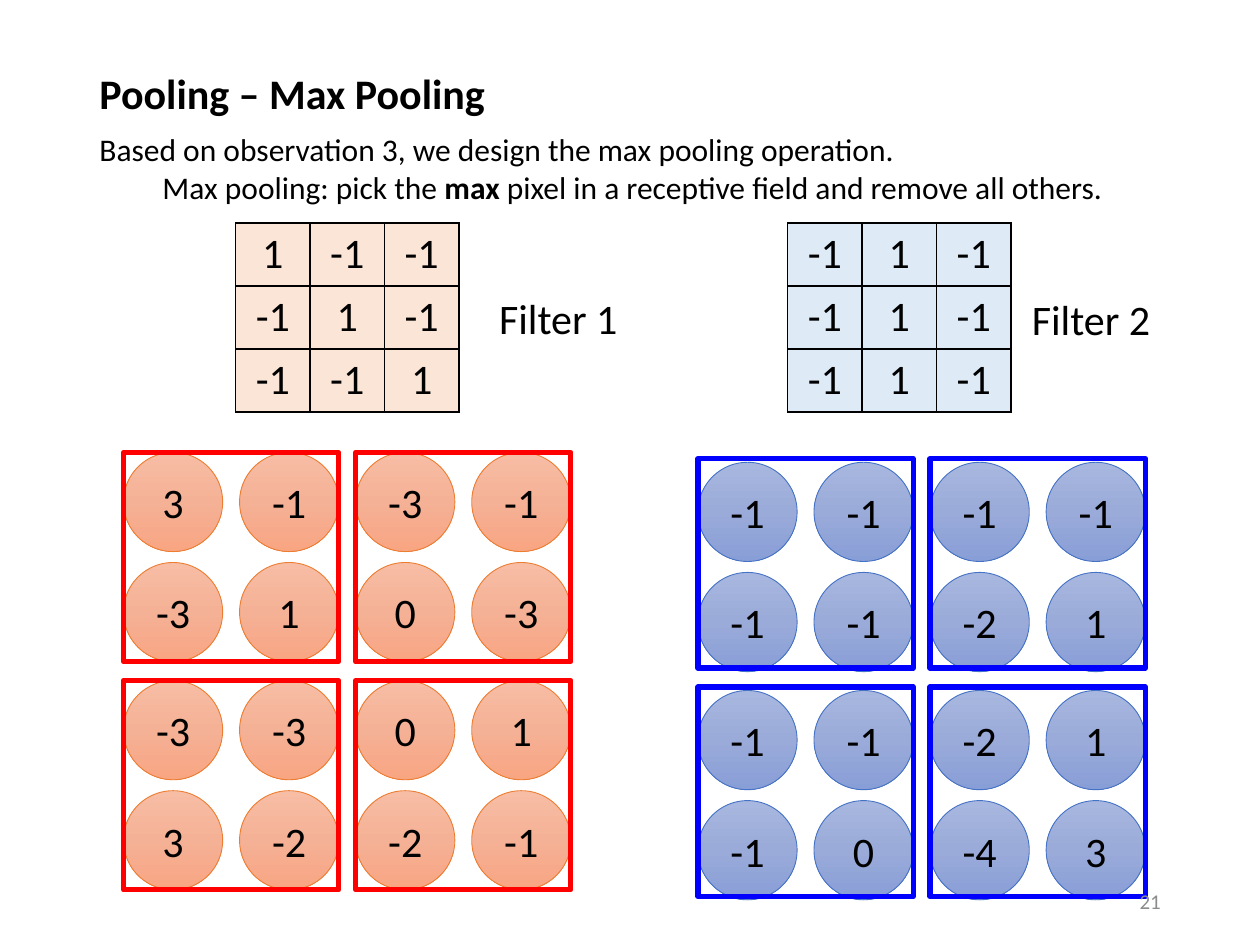
from copy import deepcopy

from lxml.etree import SubElement
from pptx import Presentation
from pptx.dml.color import RGBColor
from pptx.enum.shapes import MSO_SHAPE
from pptx.enum.text import MSO_ANCHOR, MSO_AUTO_SIZE, PP_ALIGN
from pptx.oxml.ns import qn
from pptx.util import Cm, Pt

TITLE = "Pooling – Max Pooling"
INTRO = "Based on observation 3, we design the max pooling operation."
DEFINITION = [("Max pooling: pick the ", False), ("max", True),
              (" pixel in a receptive field and remove all others.", False)]
PAGE = "21"

# Positions are (left, top) in centimetres.
FILTERS = [
    dict(label="Filter 1", label_at=(9.25, 5.77), table_at=(4.75, 4.5), cell_fill="FBE5D6",
         weights=[[1, -1, -1], [-1, 1, -1], [-1, -1, 1]],
         map_at=(2.49, 9.12), frames_at=(2.49, 9.12),
         gradient=["F7BDA5", "F5B196", "F8A582"], outline="ED7D31", frame="FF0000",
         values=[[3, -1, -3, -1], [-3, 1, 0, -3], [-3, -3, 0, 1], [3, -2, -2, -1]]),
    dict(label="Filter 2", label_at=(19.99, 5.8), table_at=(15.88, 4.5), cell_fill="DEEBF7",
         weights=[[-1, 1, -1], [-1, 1, -1], [-1, 1, -1]],
         map_at=(14.07, 9.32), frames_at=(14.07, 9.25),
         gradient=["A8B7DF", "9AABD9", "889ED7"], outline="4472C4", frame="0000FF",
         values=[[-1, -1, -1, -1], [-1, -1, -2, 1], [-1, -1, -2, 1], [-1, 0, -4, 3]]),
]
CELL_W, CELL_H = 1.5, 1.27
CIRCLE, STEP_X, STEP_Y = 2.0, 2.34, 2.22
BLOCK_X, BLOCK_Y = 2 * STEP_X, 4.6
FRAME_W, FRAME_H = STEP_X + CIRCLE, STEP_Y + CIRCLE


def rgb(value):
    return RGBColor.from_string(value)


def style(p, size=24, color="000000", align=PP_ALIGN.CENTER):
    p.alignment = align
    for r in p.runs:
        r.font.name = "Calibri"
        r.font.size = Pt(size)
        r.font.color.rgb = rgb(color)


def place(sp, left, top, width, height):
    sp.left, sp.top, sp.width, sp.height = Cm(left), Cm(top), Cm(width), Cm(height)


def add_label(s, text, box, **look):
    tb = s.shapes.add_textbox(*map(Cm, box))
    tf = tb.text_frame
    tf.word_wrap = True
    tf.text = text
    style(tf.paragraphs[0], **look)
    return tf


def add_outlined(s, kind, box, color, width):
    sp = s.shapes.add_shape(kind, *map(Cm, box))
    sp.shadow.inherit = False
    sp.line.color.rgb = rgb(color)
    sp.line.width = Pt(width)
    return sp


def set_gradient(sp, colors):
    """Fill top to bottom with three evenly spaced colours."""
    sp.fill.gradient()
    sp.fill.gradient_angle = 270
    stop_list = sp._element.spPr.find(".//" + qn("a:gsLst"))
    stop_list.insert(1, deepcopy(stop_list[0]))
    for stop, color, position in zip(sp.fill.gradient_stops, colors, (0, 0.5, 1)):
        stop.color.rgb = rgb(color)
        stop.position = position


def set_borders(cell):
    tcPr = cell._tc.get_or_add_tcPr()
    for i, side in enumerate(("lnL", "lnR", "lnT", "lnB")):
        ln = tcPr.makeelement(qn("a:" + side), {"w": str(Pt(1))})
        tcPr.insert(i, ln)
        SubElement(SubElement(ln, qn("a:solidFill")), qn("a:srgbClr"), val="000000")


def add_weights(s, f):
    rows, cols = len(f["weights"]), len(f["weights"][0])
    left, top = f["table_at"]
    table = s.shapes.add_table(rows, cols, Cm(left), Cm(top),
                               Cm(cols * CELL_W), Cm(rows * CELL_H)).table
    table.first_row = table.horz_banding = False
    for row, weights in zip(table.rows, f["weights"]):
        for cell, weight in zip(row.cells, weights):
            cell.text = str(weight)
            cell.margin_top = cell.margin_bottom = Cm(0.11)
            cell.fill.solid()
            cell.fill.fore_color.rgb = rgb(f["cell_fill"])
            set_borders(cell)
            style(cell.text_frame.paragraphs[0])


def add_feature_map(s, f):
    left, top = f["map_at"]
    for i, row in enumerate(f["values"]):
        for j, value in enumerate(row):
            y = top + i // 2 * BLOCK_Y + i % 2 * STEP_Y
            sp = add_outlined(s, MSO_SHAPE.OVAL, (left + j * STEP_X, y, CIRCLE, CIRCLE),
                              f["outline"], 0.5)
            set_gradient(sp, f["gradient"])
            tf = sp.text_frame
            tf.text = str(value)
            tf.vertical_anchor = MSO_ANCHOR.MIDDLE
            style(tf.paragraphs[0])
    left, top = f["frames_at"]
    for i in range(2):
        for j in range(2):
            box = (left + j * BLOCK_X, top + i * BLOCK_Y, FRAME_W, FRAME_H)
            add_outlined(s, MSO_SHAPE.RECTANGLE, box, f["frame"], 3).fill.background()


def add_heading(s):
    title, body = s.placeholders
    place(title, 1.75, 1.02, 21.9, 1.83)
    tf = title.text_frame
    tf.text = TITLE
    tf.vertical_anchor = MSO_ANCHOR.MIDDLE
    p = tf.paragraphs[0]
    p.line_spacing = 0.9
    style(p, align=PP_ALIGN.LEFT)
    p.runs[0].font.bold = True

    place(body, 1.75, 2.49, 22.23, 1.8)
    tf = body.text_frame
    tf.auto_size = MSO_AUTO_SIZE.NONE
    tf.text = INTRO
    p = tf.add_paragraph()
    p.level = 1
    for text, bold in DEFINITION:
        r = p.add_run()
        r.text = text
        r.font.bold = bold
    for p, indent in zip(tf.paragraphs, (0, 1.27)):
        pPr = p._p.get_or_add_pPr()
        pPr.set("marL", str(Cm(indent)))
        pPr.set("indent", "0")
        SubElement(pPr, qn("a:buNone"))
        p.space_before = Pt(0)
        style(p, 18, align=PP_ALIGN.LEFT)


def main():
    prs = Presentation()
    prs.slide_width, prs.slide_height = Cm(25.4), Cm(19.05)
    s = prs.slides.add_slide(prs.slide_layouts[1])
    add_heading(s)
    for f in FILTERS:
        add_weights(s, f)
        add_label(s, f["label"], (*f["label_at"], 4.01, 1.27))
        add_feature_map(s, f)
    tf = add_label(s, PAGE, (17.93, 17.65, 5.72, 1.02),
                   size=12, color="8C8C8C", align=PP_ALIGN.RIGHT)
    tf.vertical_anchor = MSO_ANCHOR.MIDDLE
    prs.save("out.pptx")


if __name__ == "__main__":
    main()
